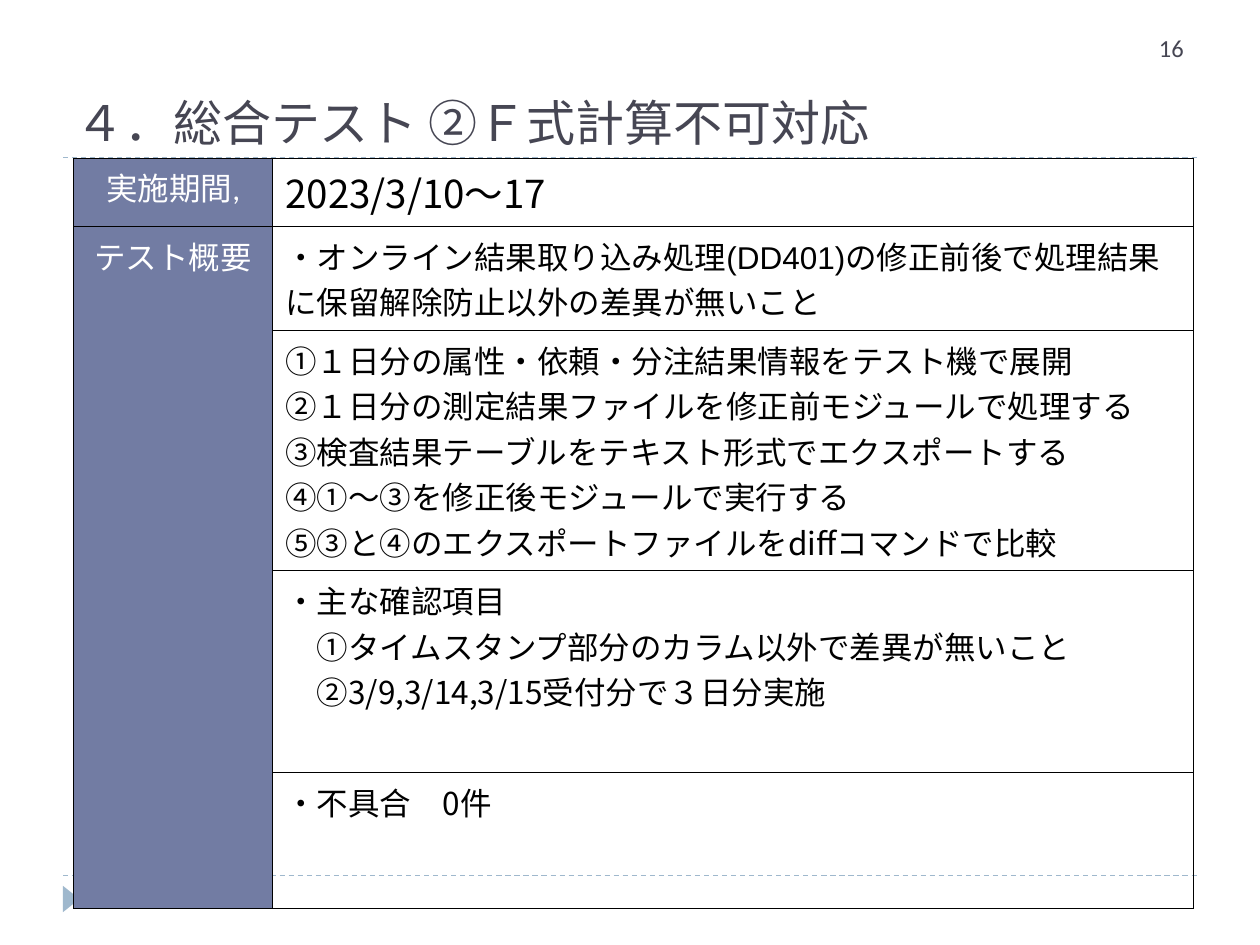
from lxml import etree
from pptx import Presentation
from pptx import util as u
from pptx.dml.color import RGBColor
from pptx.enum import dml, shapes, text
from pptx.oxml.ns import qn

COLORS = {"ink": "000000", "title": "464653", "white": "FFFFFF",
          "label": "727CA3", "rule": "9FB8CD"}
CJK = "Noto Sans CJK JP"
BODY = {"size": u.Pt(18), "name": CJK, "bold": False}
LABEL = {**BODY, "name": "Calibri"}
TITLE = {**BODY, "size": u.Pt(28)}
PERIOD = {**BODY, "size": u.Pt(22)}
NUMBER = {**LABEL, "size": u.Pt(14)}
ARIAL = {"name": "Arial"}


class Deck:
    """Hold the style and the current slide, and draw each kind of element."""

    def __init__(self, width, height):
        self.prs = Presentation()
        self.prs.slide_width, self.prs.slide_height = u.Pt(width), u.Pt(height)
        self.s = self.prs.slides.add_slide(self.prs.slide_layouts[6])

    def color(self, name):
        return RGBColor.from_string(COLORS[name])

    def fill_text(self, tf, lines, fmt, color, align=text.PP_ALIGN.LEFT):
        tf.word_wrap = True
        for i, runs in enumerate(lines):
            p = tf.add_paragraph() if i else tf.paragraphs[0]
            p.alignment = align
            for words, change in runs:
                r = p.add_run()
                r.text = words
                for key, value in {**fmt, **change}.items():
                    setattr(r.font, key, value)
                r.font.color.rgb = self.color(color)
                ea = etree.SubElement(r.font._element, qn("a:ea"))
                ea.set("typeface", CJK)

    def text(self, box, runs, fmt, anchor=text.MSO_ANCHOR.TOP):
        tf = self.s.shapes.add_textbox(*map(u.Pt, box)).text_frame
        tf.vertical_anchor = anchor
        self.fill_text(tf, [runs], fmt, "title")

    def rule(self, x1, x2, y):
        sp = self.s.shapes.add_connector(
            shapes.MSO_CONNECTOR.STRAIGHT, *map(u.Pt, (x1, y, x2, y)))
        sp.line.color.rgb = self.color("rule")
        sp.line.width = u.Pt(0.75)
        sp.line.dash_style = dml.MSO_LINE.DASH
        etree.SubElement(sp._element.spPr, qn("a:effectLst"))

    def triangle(self, box, rotation):
        sp = self.s.shapes.add_shape(
            shapes.MSO_SHAPE.ISOSCELES_TRIANGLE, *map(u.Pt, box))
        sp.rotation = rotation
        sp.shadow.inherit = False
        sp.fill.solid()
        sp.fill.fore_color.rgb = self.color("rule")
        sp.line.fill.background()

    def border(self, cell):
        tcPr = cell._tc.get_or_add_tcPr()
        for i, side in enumerate(("lnL", "lnR", "lnT", "lnB")):
            ln = etree.Element(qn("a:" + side), w=str(u.Pt(0.45)))
            fill = etree.SubElement(ln, qn("a:solidFill"))
            etree.SubElement(fill, qn("a:srgbClr"), val=COLORS["ink"])
            tcPr.insert(i, ln)

    def table(self, left, top, widths, heights):
        box = (left, top, sum(widths), sum(heights))
        tbl = self.s.shapes.add_table(
            len(heights), len(widths), *map(u.Pt, box)).table
        tbl.first_row = tbl.horz_banding = False
        for col, width in zip(tbl.columns, widths):
            col.width = u.Pt(width)
        for row, height in zip(tbl.rows, heights):
            row.height = u.Pt(height)
            for cell, fill in zip(row.cells, ("label", None)):
                if fill:
                    cell.fill.solid()
                    cell.fill.fore_color.rgb = self.color(fill)
                else:
                    cell.fill.background()
                self.border(cell)
        return tbl


def plain(*lines):
    """Turn strings into paragraphs of one run each."""
    return [[(line, {})] for line in lines]


def main():
    """Build the test report slide."""
    deck = Deck(720, 540)
    for y in (500.4, 90):
        deck.rule(36, 684, y)
    deck.triangle((33.1, 509, 15.1, 9.4), 90)

    tbl = deck.table(42, 90.3, (113.9, 526.3), (34, 50.4, 137, 115.2, 77.6))
    tbl.cell(1, 0).merge(tbl.cell(4, 0))
    for row, label in enumerate(("実施期間,", "テスト概要")):
        deck.fill_text(tbl.cell(row, 0).text_frame, plain(label), LABEL,
                       "white", text.PP_ALIGN.CENTER)
    contents = (
        (plain("2023/3/10～17"), PERIOD),
        ([[("・", {}), ("オンライン結果取り込み処理(DD401)の修正前後で処理結果"
                       "に保留解除防止以外の差異が無いこと", ARIAL)]], BODY),
        (plain("①１日分の属性・依頼・分注結果情報をテスト機で展開",
               "②１日分の測定結果ファイルを修正前モジュールで処理する",
               "③検査結果テーブルをテキスト形式でエクスポートする",
               "④①～③を修正後モジュールで実行する",
               "⑤③と④のエクスポートファイルをdiffコマンドで比較"), BODY),
        (plain("・主な確認項目",
               "　①タイムスタンプ部分のカラム以外で差異が無いこと",
               "　②3/9,3/14,3/15受付分で３日分実施"), BODY),
        (plain("・不具合　0件"), BODY),
    )
    for row, (lines, fmt) in enumerate(contents):
        deck.fill_text(tbl.cell(row, 1).text_frame, lines, fmt, "ink")

    deck.text((36, 18, 648, 72),
              [("４．総合テスト ②", {}), ("Ｆ式計算不可対応", ARIAL)],
              TITLE, text.MSO_ANCHOR.BOTTOM)
    deck.text((655.2, 15.1, 64.8, 28.8), [("16", {})], NUMBER)
    deck.prs.save("out.pptx")


if __name__ == "__main__":
    main()
